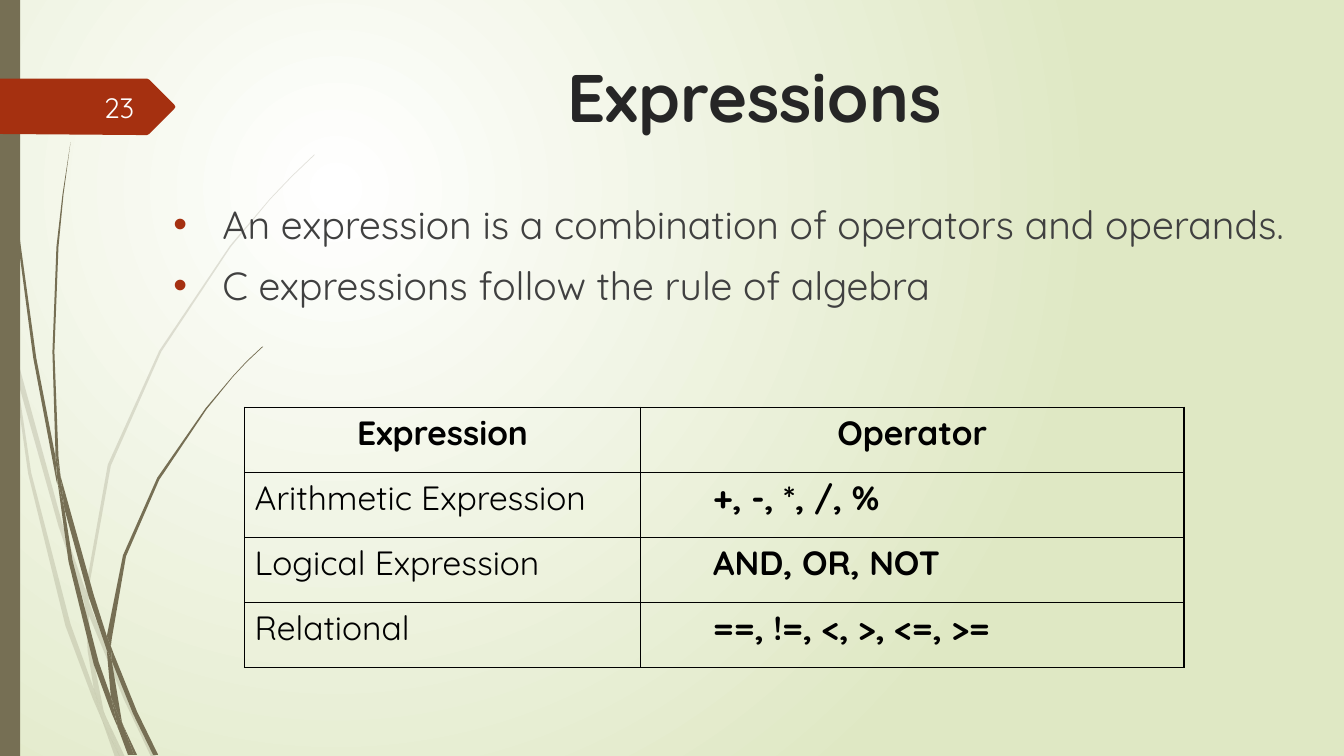
from dataclasses import dataclass
from typing import NamedTuple

from lxml.etree import SubElement
from pptx import Presentation
from pptx.dml.color import RGBColor
from pptx.enum.shapes import MSO_SHAPE
from pptx.enum.text import MSO_ANCHOR, MSO_AUTO_SIZE, PP_ALIGN
from pptx.oxml import parse_xml
from pptx.oxml.ns import nsdecls, qn
from pptx.util import Emu, Inches, Pt

SLIDE_W, SLIDE_H = Inches(13.333), Inches(7.5)
ROWS = 75
CELL = SLIDE_H / ROWS  # square grid, 75 rows high and about 133 columns wide


@dataclass(frozen=True)
class Theme:
    font: str = "Quicksand"
    olive: str = "766F54"
    red: str = "A53010"
    title: str = "262626"
    body: str = "404040"
    table: str = "000000"
    number: str = "FEFFFF"
    glow: str = "FFFFFF"
    edge: str = "DFE8C4"
    title_size: int = 48
    body_size: int = 28
    table_size: int = 24
    number_size: int = 20


class Box(NamedTuple):
    col: float
    row: float
    cols: float
    rows: float


@dataclass(frozen=True)
class Clump:
    """Grass blades, each an outline of (column, row) points."""
    blades: tuple
    opacity: int = 100


T = Theme()

PALE_GRASS = Clump((
    ((1.1, 35), (0.9, 32.2), (0, 28.2), (0, 29.9), (1, 34.4)),
    ((5.8, 52.2), (8.4, 59.9), (8.5, 58.6), (6.2, 52), (1.4, 34.5), (1.7, 37.6)),
    ((9.2, 60.7), (8.8, 59.6), (8.8, 61), (12.3, 69.4), (15, 75.1), (15.5, 75.1), (12.7, 69.2)),
    ((11.9, 75.1), (12.4, 75.1), (10.5, 71.1)),
    ((9.3, 68.3), (7, 61.9), (3.1, 46.9), (1.7, 37.6), (1.1, 35), (2.8, 47), (6.5, 62.1),
     (9.2, 69.3), (10.1, 71.4), (9.9, 70.7)),
    ((8.4, 59.9), (8.7, 64.6), (9.3, 68.3), (9.6, 69.2), (10.5, 71.1), (10.3, 70.6),
     (9.1, 64.6), (8.8, 61)),
    ((8.8, 58.4), (11, 46.2), (16, 34.9), (22.9, 24.5), (26.8, 19.8), (29, 17.5), (31.2, 15.4),
     (31.2, 15.3), (28.9, 17.5), (26.8, 19.7), (22.8, 24.4), (15.8, 34.8), (10.7, 46.1),
     (8.5, 58.4), (8.5, 58.6), (8.8, 59.6)),
    ((10.1, 71.4), (11.4, 75.1), (11.9, 75.1)),
    ((8.8, 61), (8.8, 59.6), (8.5, 58.6), (8.4, 59.9)),
    ((9.6, 69.2), (9.3, 68.3), (9.9, 70.7), (10.1, 71.4), (11.9, 75.1), (10.5, 71.1)),
), 20)

DARK_GRASS = Clump((
    ((0.7, 11), (1.7, 23.3), (3.3, 35.5), (5.6, 47.7), (5.7, 48.1), (5.5, 45.3), (3.6, 35.5),
     (1.9, 23.2), (0.8, 10.9), (0.5, 4.8), (0.4, 0), (0.3, 0), (0.4, 4.8)),
    ((8.8, 59.2), (10.6, 64.5), (10.6, 63.1), (9.3, 59), (6, 47.2), (6.4, 50.5)),
    ((11.3, 64.9), (11, 64.1), (11.1, 65.6), (13.2, 70.8), (15.2, 74.9), (15.7, 74.9),
     (13.6, 70.6)),
    ((11, 69.1), (9.8, 65.7), (7.2, 55.6), (6.4, 50.5), (5.7, 47.7), (6.8, 55.7), (9.3, 65.9),
     (11.1, 70.8), (11.7, 72.2), (11.6, 71.7)),
    ((6, 47.2), (5.8, 45.3), (5.4, 34.9), (5.8, 24.5), (6.3, 19.3), (7, 14.1), (6.2, 19.3),
     (5.6, 24.5), (5.2, 34.9), (5.5, 44.9)),
    ((13.3, 74.9), (13.6, 74.9), (12.2, 71.9)),
    ((5.7, 47.7), (6.4, 50.5), (6, 47.2), (5.5, 44.9), (5.5, 45.3)),
    ((11.1, 63.3), (12.5, 55.2), (15.8, 47.6), (20.5, 40.6), (23.1, 37.4), (24.5, 35.9),
     (26.1, 34.4), (26, 34.4), (24.5, 35.8), (23.1, 37.3), (20.4, 40.5), (15.6, 47.4),
     (12.2, 55.1), (10.6, 63.1), (11, 64.1)),
    ((11.7, 72.2), (12.7, 74.9), (13.1, 74.9)),
    ((10.6, 64.5), (11, 69.1), (11.6, 70.6), (12.2, 71.9), (12.1, 71.6), (11.1, 65.6),
     (10.9, 65.1)),
    ((10.6, 64.5), (10.9, 65.1), (11.1, 65.6), (11, 64.1), (10.6, 63.1), (10.6, 63.3)),
    ((11.6, 70.6), (11, 69.1), (11.6, 71.7), (11.7, 72.2), (13, 74.9), (13.3, 74.9),
     (12.2, 71.9)),
))

NUMBER_TAG = ((17.3, 10.8), (14.8, 13.3), (14.6, 13.4), (13.6, 13.4), (0, 13.3), (0, 7.8),
              (14.6, 7.8), (14.8, 7.9), (17.3, 10.4), (17.4, 10.6))

BULLETS = (
    "An expression is a combination of operators and operands.",
    "C expressions follow the rule of algebra",
)
OPERATORS = (
    ("Expression", "Operator"),
    ("Arithmetic Expression", "+, -, *, /, %"),
    ("Logical Expression", "AND, OR, NOT"),
    ("Relational", "==, !=, <, >, <=, >="),
)


def grid(n: float) -> Emu:
    """Length of n grid cells."""
    return Emu(round(n * CELL))


def place(box: Box) -> tuple:
    return tuple(grid(n) for n in box)


def write(p, text: str, *, size: int, color: str, bold: bool = False,
          align=PP_ALIGN.LEFT, before: float = 0, indent: float = 0) -> None:
    """Put one formatted run into a paragraph; indent is in grid cells."""
    if indent:
        p._p.get_or_add_pPr().set("marL", str(grid(indent)))
    p.alignment, p.space_before = align, Pt(before)
    r = p.add_run()
    r.text = text
    r.font.name, r.font.size, r.font.bold = T.font, Pt(size), bold
    r.font.color.rgb = RGBColor.from_string(color)


def add_bullet(p, hang: float) -> None:
    pPr = p._p.get_or_add_pPr()
    pPr.set("indent", str(-grid(hang)))
    SubElement(SubElement(pPr, qn("a:buClr")), qn("a:srgbClr"), val=T.red)
    SubElement(pPr, qn("a:buFont"), typeface="Arial")
    SubElement(pPr, qn("a:buChar"), char="•")


def paint(sp, color: str, opacity: int = 100) -> None:
    sp.shadow.inherit = False
    sp.line.fill.background()
    sp.fill.solid()
    sp.fill.fore_color.rgb = RGBColor.from_string(color)
    if opacity < 100:
        clr = sp.element.spPr.find(qn("a:solidFill")).find(qn("a:srgbClr"))
        SubElement(clr, qn("a:alpha"), val=str(opacity * 1000))


def draw_outline(shapes, points: tuple, color: str, opacity: int = 100) -> None:
    start, *others = [(grid(x), grid(y)) for x, y in points]
    builder = shapes.build_freeform(*start)
    builder.add_line_segments(others, close=True)
    paint(builder.convert_to_shape(), color, opacity)


def draw_clump(shapes, clump: Clump) -> None:
    group = shapes.add_group_shape()
    for blade in clump.blades:
        draw_outline(group.shapes, blade, T.olive, clump.opacity)


def set_background(slide) -> None:
    slide.element.cSld.insert(0, parse_xml(
        f'<p:bg {nsdecls("p", "a")}><p:bgPr><a:gradFill rotWithShape="1"><a:gsLst>'
        f'<a:gs pos="0"><a:srgbClr val="{T.glow}"/></a:gs>'
        f'<a:gs pos="100000"><a:srgbClr val="{T.edge}"/></a:gs></a:gsLst>'
        '<a:path path="circle"><a:fillToRect l="50000" t="50000" r="100000" b="100000"/></a:path>'
        '</a:gradFill><a:effectLst/></p:bgPr></p:bg>'))


def bring_placeholder(slide, idx: int, box: Box):
    """Move a placeholder to the front and to its box; return its text frame."""
    ph = slide.placeholders[idx]
    slide.shapes._spTree.append(ph.element)
    ph.left, ph.top, ph.width, ph.height = place(box)
    tf = ph.text_frame
    tf.auto_size, tf.vertical_anchor = MSO_AUTO_SIZE.NONE, MSO_ANCHOR.TOP
    return tf


def add_borders(cell) -> None:
    tcPr = cell._tc.get_or_add_tcPr()
    for side in ("lnL", "lnR", "lnT", "lnB"):
        ln = SubElement(tcPr, qn(f"a:{side}"), w=str(Pt(1)))
        SubElement(SubElement(ln, qn("a:solidFill")), qn("a:srgbClr"), val=T.table)


def add_operator_table(shapes, box: Box, widths: tuple) -> None:
    table = shapes.add_table(len(OPERATORS), len(widths), *place(box)).table
    table.first_row = table.horz_banding = False
    for column, width in zip(table.columns, widths):
        column.width = grid(width)
    for i, row in enumerate(OPERATORS):
        for j, text in enumerate(row):
            cell, header = table.cell(i, j), i == 0
            add_borders(cell)
            cell.fill.background()
            write(cell.text_frame.paragraphs[0], text, size=T.table_size, color=T.table,
                  bold=header or j == 1, align=PP_ALIGN.CENTER if header else PP_ALIGN.LEFT,
                  indent=6.2 if j and not header else 0)


def main() -> None:
    prs = Presentation()
    prs.slide_width, prs.slide_height = SLIDE_W, SLIDE_H
    slide = prs.slides.add_slide(prs.slide_layouts[1])
    shapes = slide.shapes
    set_background(slide)
    for clump in (PALE_GRASS, DARK_GRASS):
        draw_clump(shapes, clump)
    paint(shapes.add_shape(MSO_SHAPE.RECTANGLE, *place(Box(0, 0, 2, ROWS))), T.olive)
    draw_outline(shapes, NUMBER_TAG, T.red)

    tf = bring_placeholder(slide, 0, Box(26.1, 5, 97.5, 11))
    write(tf.paragraphs[0], "Expressions", size=T.title_size, color=T.title, bold=True,
          align=PP_ALIGN.CENTER)

    tf = bring_placeholder(slide, 1, Box(16.2, 19.4, 114.4, 51.6))
    for i, text in enumerate(BULLETS):
        p = tf.add_paragraph() if i else tf.paragraphs[0]
        add_bullet(p, 4.85)
        write(p, text, size=T.body_size, color=T.body, before=10 if i else 0, indent=4.85)

    add_operator_table(shapes, Box(24.25, 40.4, 93.2, 25.8), (39.3, 53.9))

    tf = shapes.add_textbox(*place(Box(5.8, 8.6, 8.5, 4))).text_frame
    tf.word_wrap, tf.vertical_anchor = True, MSO_ANCHOR.MIDDLE
    write(tf.paragraphs[0], "23", size=T.number_size, color=T.number, align=PP_ALIGN.RIGHT)
    prs.save("out.pptx")


if __name__ == "__main__":
    main()
